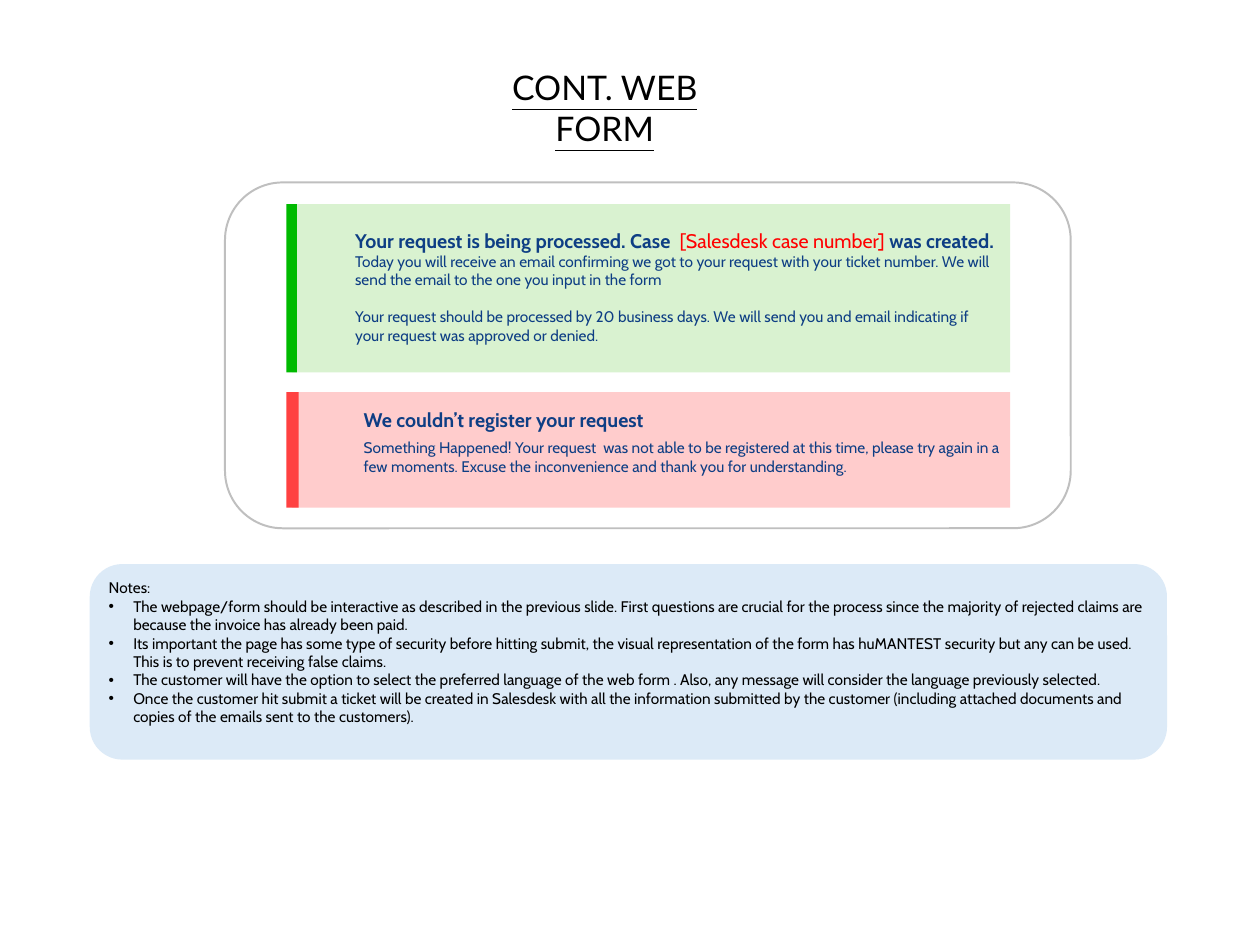
from lxml import etree
from pptx import Presentation
from pptx.dml.color import RGBColor
from pptx.enum.shapes import MSO_SHAPE
from pptx.enum.text import MSO_ANCHOR, MSO_AUTO_SIZE, PP_ALIGN
from pptx.oxml.ns import qn
from pptx.util import Pt

RECT = MSO_SHAPE.RECTANGLE
ROUND = MSO_SHAPE.ROUNDED_RECTANGLE
TOP = MSO_ANCHOR.TOP
FIXED = MSO_AUTO_SIZE.NONE
LEFT = PP_ALIGN.LEFT
CENTER = PP_ALIGN.CENTER

BLACK = RGBColor(0, 0, 0)
NAVY = RGBColor(0x0E, 0x3E, 0x84)
RED = RGBColor(0xFF, 0, 0)
GRAY = RGBColor(0xBF, 0xBF, 0xBF)
MINT = RGBColor(0xD9, 0xF2, 0xD0)
GREEN = RGBColor(0, 0xBA, 0)
PINK = RGBColor(0xFF, 0xCC, 0xCC)
CORAL = RGBColor(0xFF, 0x41, 0x41)
SKY = RGBColor(0xDC, 0xEA, 0xF7)

TITLE = {"name": "Lato", "size": Pt(25.8), "underline": True}
HEAD = {"name": "Cabin", "size": Pt(15), "bold": True}
CASE = {"name": "Cabin", "size": Pt(15), "bold": False}
BODY = {"name": "Cabin", "size": Pt(11.7), "bold": False}
FRAME = {"word_wrap": True, "auto_size": FIXED, "vertical_anchor": TOP}

NOTES = [
    "The webpage/form should be interactive as described in the previous slide. First questions are crucial for the process since the majority of rejected claims are because the invoice has already been paid.",
    "Its important the page has some type of security before hitting submit, the visual representation of the form has huMANTEST security but any can be used. This is to prevent receiving false claims.",
    "The customer will have the option to select the preferred language of the web form . Also, any message will consider the language previously selected.",
    "Once the customer hit submit a ticket will be created in Salesdesk with all the information submitted by the customer (including attached documents and copies of the emails sent to the customers).",
]


def set_all(item, values):
    for key, value in values.items():
        setattr(item, key, value)


def place(shape, *box):
    for key, value in zip(("left", "top", "width", "height"), box):
        setattr(shape, key, Pt(value))


def add_box(slide, kind, box, fill=None, line=None):
    shape = slide.shapes.add_shape(kind, *map(Pt, box))
    shape.shadow.inherit = False
    if fill is None:
        shape.fill.background()
    else:
        shape.fill.solid()
        shape.fill.fore_color.rgb = fill
    if line is None:
        shape.line.fill.background()
    else:
        shape.line.color.rgb = line
        shape.line.width = Pt(1.5)


def add_run(para, text, style, color):
    run = para.add_run()
    run.text = text
    set_all(run.font, style)
    run.font.color.rgb = color


def add_para(frame, runs, gap=0, align=LEFT):
    para = frame.paragraphs[0]
    if para.runs:
        para = frame.add_paragraph()
    para.alignment = align
    para.space_before = Pt(gap)
    for run in runs:
        add_run(para, *run)
    return para


def add_text(slide, box, paras):
    frame = slide.shapes.add_textbox(*map(Pt, box)).text_frame
    set_all(frame, FRAME)
    for runs, gap in paras:
        add_para(frame, runs, gap)


def set_mark(para, mark=None):
    props = para._p.get_or_add_pPr()
    inset = Pt(18.7) if mark else 0
    props.set("marL", str(inset))
    props.set("indent", str(-inset))
    if mark:
        etree.SubElement(props, qn("a:buFont"), typeface="Arial")
        etree.SubElement(props, qn("a:buChar"), char=mark)
    else:
        etree.SubElement(props, qn("a:buNone"))


def fill_title(shape):
    place(shape, 347.8, 47.5, 226, 39)
    set_all(shape.text_frame, FRAME)
    add_para(shape.text_frame, [("CONT. WEB FORM", TITLE, BLACK)], align=CENTER)


def fill_notes(shape):
    place(shape, 68.4, 429.8, 820.8, 149)
    form = etree.SubElement(shape._element.spPr, qn("a:prstGeom"), prst="roundRect")
    etree.SubElement(form, qn("a:avLst"))
    shape.fill.solid()
    shape.fill.fore_color.rgb = SKY
    set_all(shape.text_frame, FRAME)
    set_mark(add_para(shape.text_frame, [("Notes:", BODY, BLACK)]))
    for note in NOTES:
        set_mark(add_para(shape.text_frame, [(note, BODY, BLACK)]), "•")


def main():
    deck = Presentation()
    deck.slide_width, deck.slide_height = Pt(960), Pt(720)
    slide = deck.slides.add_slide(deck.slide_layouts[1])
    fill_title(slide.shapes.title)
    fill_notes(slide.placeholders[1])

    add_box(slide, ROUND, (171.4, 139, 644.4, 263.5), line=GRAY)
    for top, height, thick, fill, edge in (
        (155.5, 128.2, 8, MINT, GREEN),
        (298.8, 88, 9.4, PINK, CORAL),
    ):
        add_box(slide, RECT, (222.5, top, 547.2, height), fill)
        add_box(slide, RECT, (218.2, top, thick, height), edge)

    add_text(slide, (263.5, 170.6, 506.2, 114.5), [
        ([("Your request is being processed. Case ", HEAD, NAVY),
          (" [Salesdesk case number] ", CASE, RED),
          ("was created.", HEAD, NAVY)], 0),
        ([("Today you will receive an email confirming we got to your request with your ticket number. We will send the email to the one you input in the form", BODY, NAVY)], 0),
        ([("Your request should be processed by 20 business days. We will send you and email indicating if your request was approved or denied.", BODY, NAVY)], 14),
    ])
    add_text(slide, (270, 307.4, 506.2, 59), [
        ([("We couldn’t register your request", HEAD, NAVY)], 0),
        ([("Something Happened! Your request  was not able to be registered at this time, please try again in a few moments. Excuse the inconvenience and thank you for understanding.", BODY, NAVY)], 5),
    ])
    deck.save("out.pptx")


if __name__ == "__main__":
    main()
